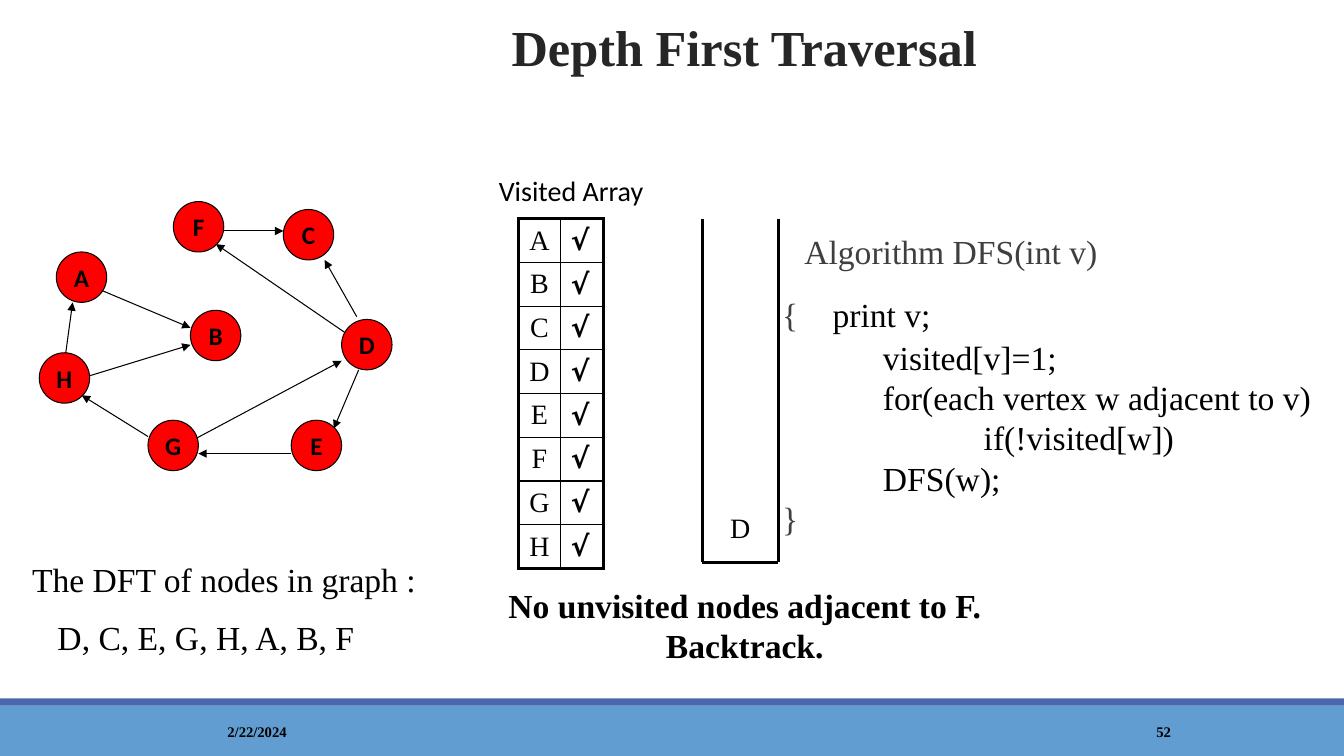
import pptx
import pptx.dml.color
import pptx.enum.shapes
import pptx.enum.text
import pptx.oxml.ns
import pptx.util
from lxml import etree
from pptx.util import Cm, Pt

HUES = {"ink": "000000", "title": "262626", "code": "3F3F3F",
        "node": "FF0000", "bar": "629DD1", "edge": "4A66AC"}
SERIF = "Times New Roman"
ALIGN = pptx.enum.text.PP_ALIGN
ANCHOR = pptx.enum.text.MSO_ANCHOR
SHAPE = pptx.enum.shapes.MSO_SHAPE

SIZE = 1.27
NODES = {"A": (1.42, 6.35), "H": (0.99, 8.89), "B": (4.8, 7.82),
         "F": (4.37, 5.08), "E": (7.34, 10.59), "D": (8.61, 8.05),
         "C": (7.14, 5.28), "G": (3.73, 10.59)}
EDGES = [(8.81, 8.46, 5.44, 6.15), (9.04, 9.32, 8.41, 10.8),
         (2.06, 9.53, 4.8, 8.69), (4.6, 11.23, 8.61, 9.09),
         (1.63, 9.09, 1.83, 7.62), (2.26, 7.19, 4.8, 8.26),
         (8.99, 7.98, 8.18, 6.55), (7.34, 11.43, 5, 11.43),
         (3.73, 11, 2.06, 9.96), (5.64, 5.82, 7.14, 5.82)]

# Text, left indent in cm, space before in points, colour
CODE = [("Algorithm DFS(int v)", 0.56, 0, "code"),
        ("{\tprint v;", 0, 16, "code"),
        ("visited[v]=1;", 2.54, 2, "ink"),
        ("for(each vertex w adjacent to v)", 2.54, 0, "ink"),
        ("if(!visited[w])", 5.08, 0, "ink"),
        ("DFS(w);", 2.54, 0, "ink"),
        ("}", 0, 0, "code")]


def tint(name):
    return pptx.dml.color.RGBColor.from_string(HUES[name])


def add_xml(host, tag, **attrs):
    return etree.SubElement(host, pptx.oxml.ns.qn(tag), attrs)


def style(para, size, hue="ink", face=SERIF, bold=False, align=ALIGN.LEFT):
    para.alignment = align
    font = para.font
    font.size, font.name, font.bold = Pt(size), face, bold
    font.color.rgb = tint(hue)


def place(shape, x, y, w, h):
    shape.left, shape.top, shape.width, shape.height = map(Cm, (x, y, w, h))


def add_text(slide, text, box, size, anchor=ANCHOR.TOP, **look):
    frame = slide.shapes.add_textbox(*map(Cm, box)).text_frame
    frame.word_wrap = True
    frame.vertical_anchor = anchor
    frame.text = text
    for para in frame.paragraphs:
        style(para, size, **look)
    return frame


def add_shape(slide, kind, box, fill):
    shape = slide.shapes.add_shape(kind, *map(Cm, box))
    shape.shadow.inherit = False
    shape.fill.solid()
    shape.fill.fore_color.rgb = tint(fill)
    shape.line.fill.background()
    return shape


def add_node(slide, name, x, y):
    node = add_shape(slide, SHAPE.OVAL, (x, y, SIZE, SIZE), "node")
    node.line.color.rgb = tint("ink")
    node.line.width = Pt(0.75)
    frame = node.text_frame
    frame.word_wrap = False
    frame.vertical_anchor = ANCHOR.MIDDLE
    frame.text = name
    style(frame.paragraphs[0], 18, face="Calibri", bold=True,
          align=ALIGN.CENTER)


def add_line(slide, ends, width, arrow=False):
    kind = pptx.enum.shapes.MSO_CONNECTOR.STRAIGHT
    line = slide.shapes.add_connector(kind, *map(Cm, ends))
    line.line.color.rgb = tint("ink")
    line.line.width = Pt(width)
    if arrow:
        add_xml(line.line._get_or_add_ln(), "a:tailEnd", type="triangle")
    add_xml(line._element.spPr, "a:effectLst")


def add_border(cell, sides):
    props = cell._tc.get_or_add_tcPr()
    for side, width in sides.items():
        edge = add_xml(props, "a:ln" + side, w=str(Pt(width)))
        fill = add_xml(edge, "a:solidFill")
        add_xml(fill, "a:srgbClr", val=HUES["ink"])


def add_table(slide, names):
    count = len(names)
    table = slide.shapes.add_table(count, 2, Cm(13.06), Cm(5.51),
                                   Cm(2.14), Cm(1.07 * count)).table
    table.first_row = table.horz_banding = False
    for row, name in enumerate(names):
        for col, text in enumerate((name, "√")):
            cell = table.cell(row, col)
            cell.text = text
            cell.vertical_anchor = ANCHOR.MIDDLE
            outer = {"L": col == 0, "R": col == 1,
                     "T": row == 0, "B": row == count - 1}
            add_border(cell, {side: 2.25 if out else 1
                              for side, out in outer.items()})
            cell.fill.background()
            para = cell.text_frame.paragraphs[0]
            if col:
                style(para, 20, face="DejaVu Sans", bold=True)
            else:
                style(para, 20, align=ALIGN.CENTER)


def fill_title(shape):
    place(shape, 4.37, 0.51, 28.78, 1.88)
    frame = shape.text_frame
    frame.text = "Depth First Traversal"
    frame.vertical_anchor = ANCHOR.TOP
    frame.auto_size = pptx.enum.text.MSO_AUTO_SIZE.NONE
    para = frame.paragraphs[0]
    para.line_spacing = 0.85
    style(para, 36, "title", bold=True, align=ALIGN.CENTER)


def fill_code(shape):
    place(shape, 19.71, 5.69, 13.74, 8.08)
    frame = shape.text_frame
    frame.auto_size = pptx.enum.text.MSO_AUTO_SIZE.NONE
    frame.margin_left = frame.margin_right = 0
    frame.text = "\n".join(line[0] for line in CODE)
    for para, (text, left, space, hue) in zip(frame.paragraphs, CODE):
        props = para._p.get_or_add_pPr()
        props.set("marL", str(Cm(left)))
        props.set("indent", "0")
        add_xml(props, "a:buNone")
        if "\t" in text:
            tabs = add_xml(props, "a:tabLst")
            add_xml(tabs, "a:tab", pos=str(Cm(2.7)), algn="l")
            brace, rest = text.split("\t")
            para.clear()
            para.add_run().text = brace + "\t"
            run = para.add_run()
            run.text = rest
            run.font.color.rgb = tint("ink")
        para.space_before = Pt(space)
        style(para, 24, hue)


def main():
    deck = pptx.Presentation()
    deck.slide_width, deck.slide_height = Cm(33.87), Cm(19.05)
    slide = deck.slides.add_slide(deck.slide_layouts[1])

    # Footer bars
    add_shape(slide, SHAPE.RECTANGLE, (0, 17.78, 33.87, 1.27), "bar")
    add_shape(slide, SHAPE.RECTANGLE, (0, 17.6, 33.87, 0.18), "edge")
    for text, x, w in (("2/22/2024", 3.05, 6.86), ("52", 27.51, 3.63)):
        add_text(slide, text, (x, 17.93, w, 1.02), 10.5, ANCHOR.MIDDLE,
                 bold=True, align=ALIGN.CENTER)

    # Title and algorithm
    fill_title(slide.shapes.title)
    fill_code(slide.placeholders[1])

    # Graph
    for ends in EDGES:
        add_line(slide, ends, 0.75, arrow=True)
    for name, (x, y) in NODES.items():
        add_node(slide, name, x, y)

    # Visited array
    add_text(slide, "Visited Array", (12.32, 4.24, 4.65, 1.09), 20,
             face="Calibri")
    add_table(slide, sorted(NODES))

    # Stack
    left, right, top, base = 17.7, 19.61, 5.51, 14.17
    for ends in ((left, top, left, base), (right, top, right, base),
                 (left, base, right, base)):
        add_line(slide, ends, 2.25)
    add_text(slide, "D", (left, 12.75, right - left, 1.07), 20,
             align=ALIGN.CENTER)

    # Result and remark
    frame = add_text(slide, "The DFT of nodes in graph :\n"
                     "D, C, E, G, H, A, B, F", (0.56, 13.97, 11.43, 2.82), 24)
    order = frame.paragraphs[1]
    order._p.get_or_add_pPr().set("marL", str(Cm(0.64)))
    order.space_before = Pt(12)
    add_text(slide, "No unvisited nodes adjacent to F. Backtrack.",
             (12.42, 14.61, 12.7, 2.31), 24, bold=True, align=ALIGN.CENTER)

    deck.save("out.pptx")


if __name__ == "__main__":
    main()
